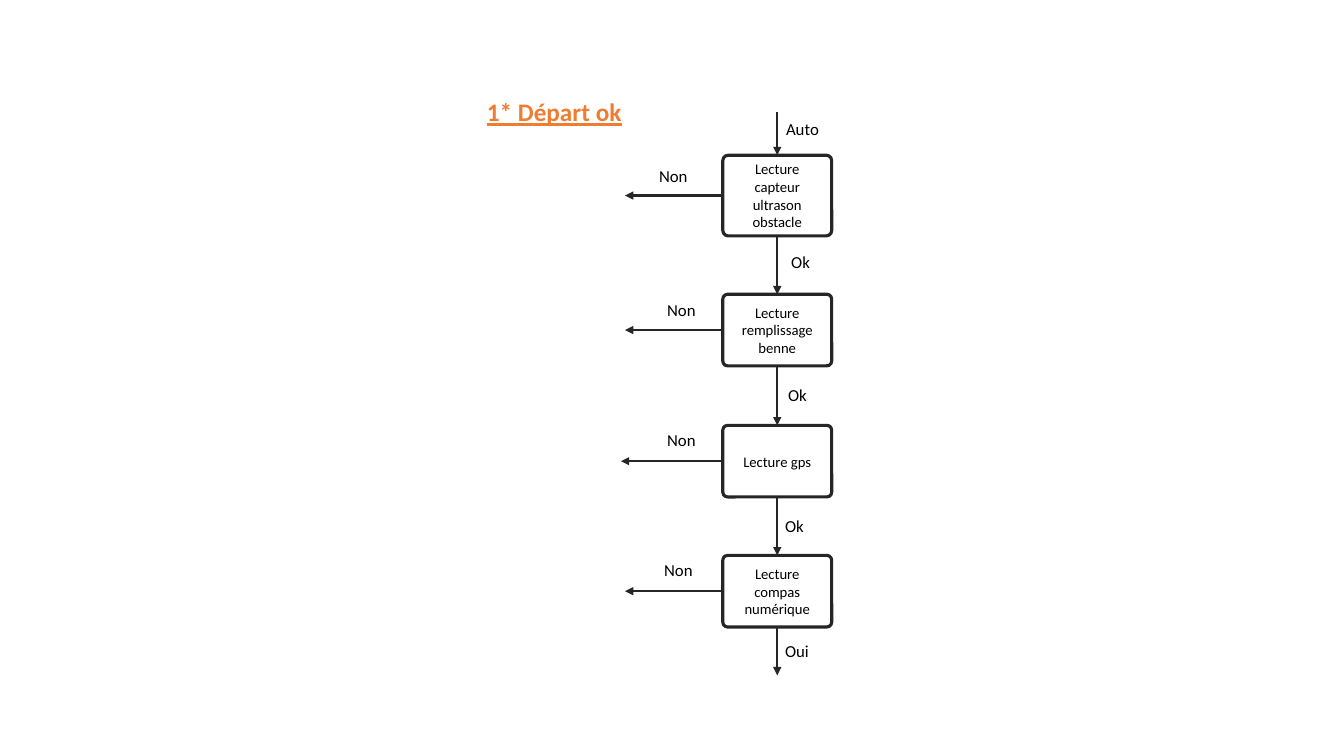
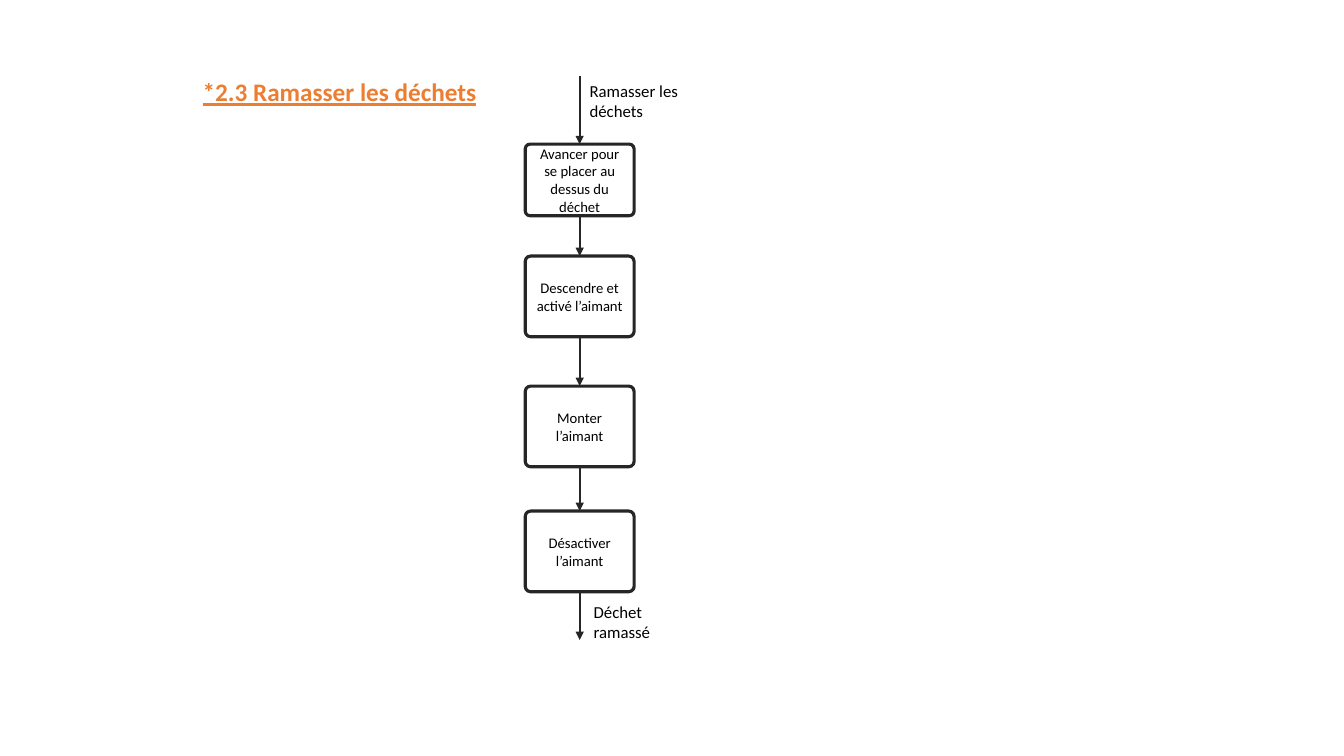
from dataclasses import dataclass

import pptx
import pptx.dml.color
import pptx.enum.shapes
import pptx.enum.text
import pptx.oxml
import pptx.oxml.ns
import pptx.util
from pptx.enum.shapes import MSO_SHAPE
from pptx.enum.text import MSO_ANCHOR, MSO_AUTO_SIZE, PP_ALIGN

# Shared style; every length is a percentage of the slide's width or height
FONT = "Calibri"
ORANGE, DARK, BLACK = "ED7D31", "262626", "000000"
TITLE_H, LABEL_H, BOX_W = 5.33, 4, 8.1
LOW, HIGH = 9.47, 10.67
TOP, LEFT, BOTTOM = 0, 1, 2  # connection sites of a box


@dataclass
class Step:
    text: str
    top: float
    height: float
    no_x: float | None = None  # end of the "Non" branch


@dataclass
class Label:
    text: str
    x: float
    y: float
    width: float = 4.5


@dataclass
class Flow:
    title: Label
    axis: float
    start: float
    end: float
    steps: list[Step]
    labels: list[Label]


FLOWS = [
    Flow(Label("1* Départ ok", 35.48, 12.13, 20.2), 57.83, 14.8, 89.33,
         [Step("Lecture capteur ultrason obstacle", 20.53, HIGH, 46.5),
          Step("Lecture remplissage benne", 38.93, LOW, 46.5),
          Step("Lecture gps", 56.27, LOW, 46.2),
          Step("Lecture compas numérique", 73.47, LOW, 46.5)],
         [Label("Auto", 57.75, 15.07),
          Label("Ok", 58.13, 32.67),
          Label("Ok", 57.9, 50.27),
          Label("Ok", 57.68, 67.6),
          Label("Oui", 57.68, 84.13),
          Label("Non", 48.3, 21.33),
          Label("Non", 48.9, 38.93),
          Label("Non", 48.9, 56.13),
          Label("Non", 48.68, 73.33)]),
    Flow(Label("*2.3 Ramasser les déchets", 14.33, 9.47, 24), 43.13, 10, 84.67,
         [Step("Avancer pour se placer au dessus du déchet", 19.07, LOW),
          Step("Descendre et activé l’aimant", 33.87, HIGH),
          Step("Monter l’aimant", 51.07, HIGH),
          Step("Désactiver l’aimant", 67.6, HIGH)],
         [Label("Ramasser les déchets", 43.13, 10, 8.2),
          Label("Déchet ramassé", 43.43, 78.93, 8.2)]),
]

prs = pptx.Presentation()
prs.slide_width = pptx.util.Inches(13.33)
prs.slide_height = pptx.util.Inches(7.5)


def across(share: float) -> int:
    return round(prs.slide_width * share / 100)


def down(share: float) -> int:
    return round(prs.slide_height * share / 100)


def rgb(color: str) -> pptx.dml.color.RGBColor:
    return pptx.dml.color.RGBColor.from_string(color)


def write(sp, text: str, size: float, color: str = BLACK,
          align=PP_ALIGN.LEFT, anchor=MSO_ANCHOR.TOP):
    """Fill a shape with one paragraph and return its font."""
    tf = sp.text_frame
    tf.text = text
    tf.word_wrap = True
    tf.auto_size = MSO_AUTO_SIZE.NONE
    tf.vertical_anchor = anchor
    p = tf.paragraphs[0]
    p.alignment = align
    p.font.name, p.font.size = FONT, pptx.util.Pt(size)
    p.font.color.rgb = rgb(color)
    return p.font


def add_title(s, title: Label) -> None:
    sp = s.shapes.title
    sp.left, sp.top = across(title.x), down(title.y)
    sp.width, sp.height = across(title.width), down(TITLE_H)
    font = write(sp, title.text, 18, ORANGE)
    font.bold = font.underline = True


def add_label(s, label: Label) -> None:
    sp = s.shapes.add_textbox(across(label.x), down(label.y),
                              across(label.width), down(LABEL_H))
    write(sp, label.text, 12)


def add_box(s, step: Step, axis: float):
    sp = s.shapes.add_shape(MSO_SHAPE.ROUNDED_RECTANGLE,
                            across(axis - BOX_W / 2), down(step.top),
                            across(BOX_W), down(step.height))
    sp.adjustments[0] = 0.066
    sp.shadow.inherit = False
    sp.fill.background()
    sp.line.color.rgb = rgb(DARK)
    sp.line.width = pptx.util.Pt(2.25)
    write(sp, step.text, 10.5, align=PP_ALIGN.CENTER, anchor=MSO_ANCHOR.MIDDLE)
    sp.text_frame.margin_left = sp.text_frame.margin_right = pptx.util.Inches(0.09)
    return sp


def add_arrow(s, x1: float, y1: float, x2: float, y2: float):
    c = s.shapes.add_connector(pptx.enum.shapes.MSO_CONNECTOR.STRAIGHT,
                               across(x1), down(y1), across(x2), down(y2))
    c.line.color.rgb = rgb(DARK)
    c.line.width = pptx.util.Pt(1.5)
    # Arrowhead, and no theme shadow
    ns = pptx.oxml.ns.nsdecls("a")
    sp_pr = c.element.spPr
    sp_pr.find(pptx.oxml.ns.qn("a:ln")).append(
        pptx.oxml.parse_xml(f'<a:tailEnd {ns} type="triangle"/>'))
    sp_pr.append(pptx.oxml.parse_xml(f"<a:effectLst {ns}/>"))
    return c


def draw_flow(flow: Flow) -> None:
    s = prs.slides.add_slide(prs.slide_layouts.get_by_name("Title Only"))
    add_title(s, flow.title)
    boxes = [add_box(s, step, flow.axis) for step in flow.steps]

    # Vertical arrows: into the first box, between boxes, out of the last
    starts = [flow.start] + [step.top + step.height for step in flow.steps]
    ends = [step.top for step in flow.steps] + [flow.end]
    for y1, y2, above, below in zip(starts, ends, [None] + boxes, boxes + [None]):
        c = add_arrow(s, flow.axis, y1, flow.axis, y2)
        if above is not None:
            c.begin_connect(above, BOTTOM)
        if below is not None:
            c.end_connect(below, TOP)

    # Branches to the left
    for step, box in zip(flow.steps, boxes):
        if step.no_x is not None:
            y = step.top + step.height / 2
            c = add_arrow(s, flow.axis - BOX_W / 2, y, step.no_x, y)
            c.begin_connect(box, LEFT)

    for label in flow.labels:
        add_label(s, label)


def main() -> None:
    for flow in FLOWS:
        draw_flow(flow)
    prs.save("out.pptx")


if __name__ == "__main__":
    main()
